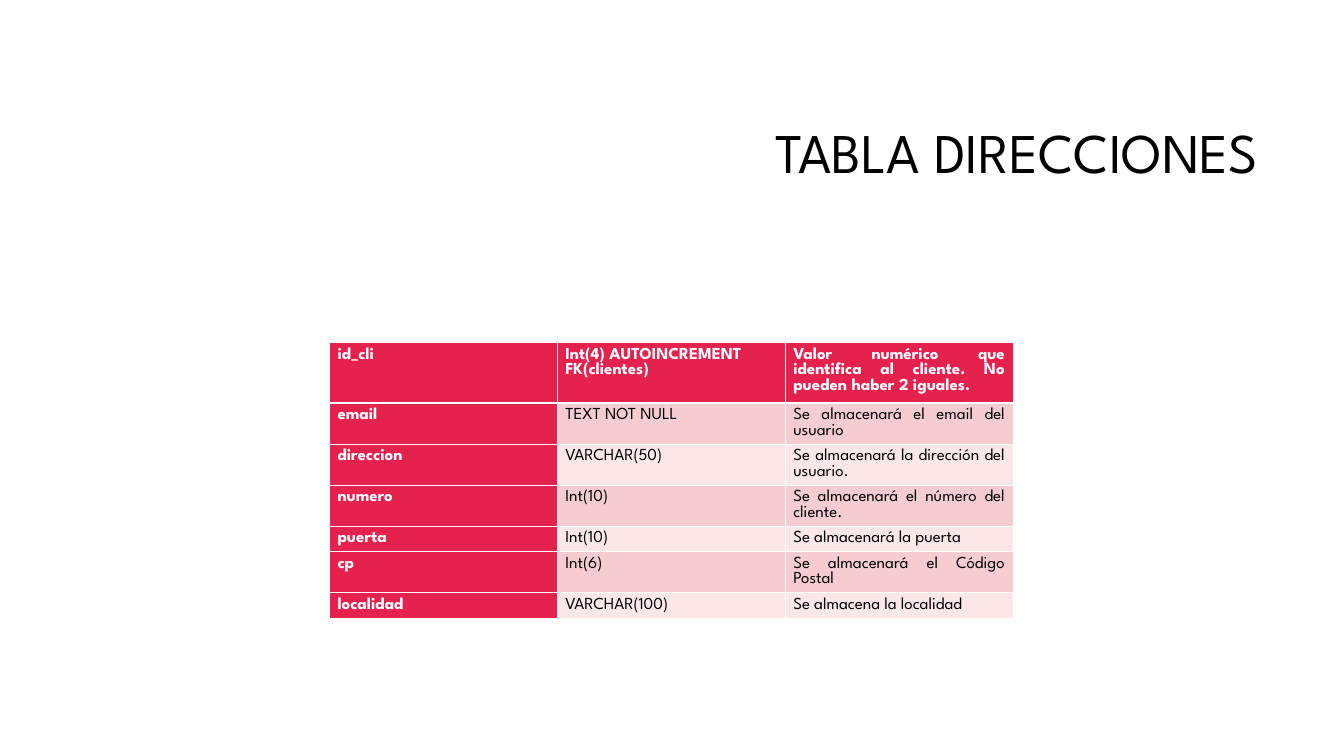
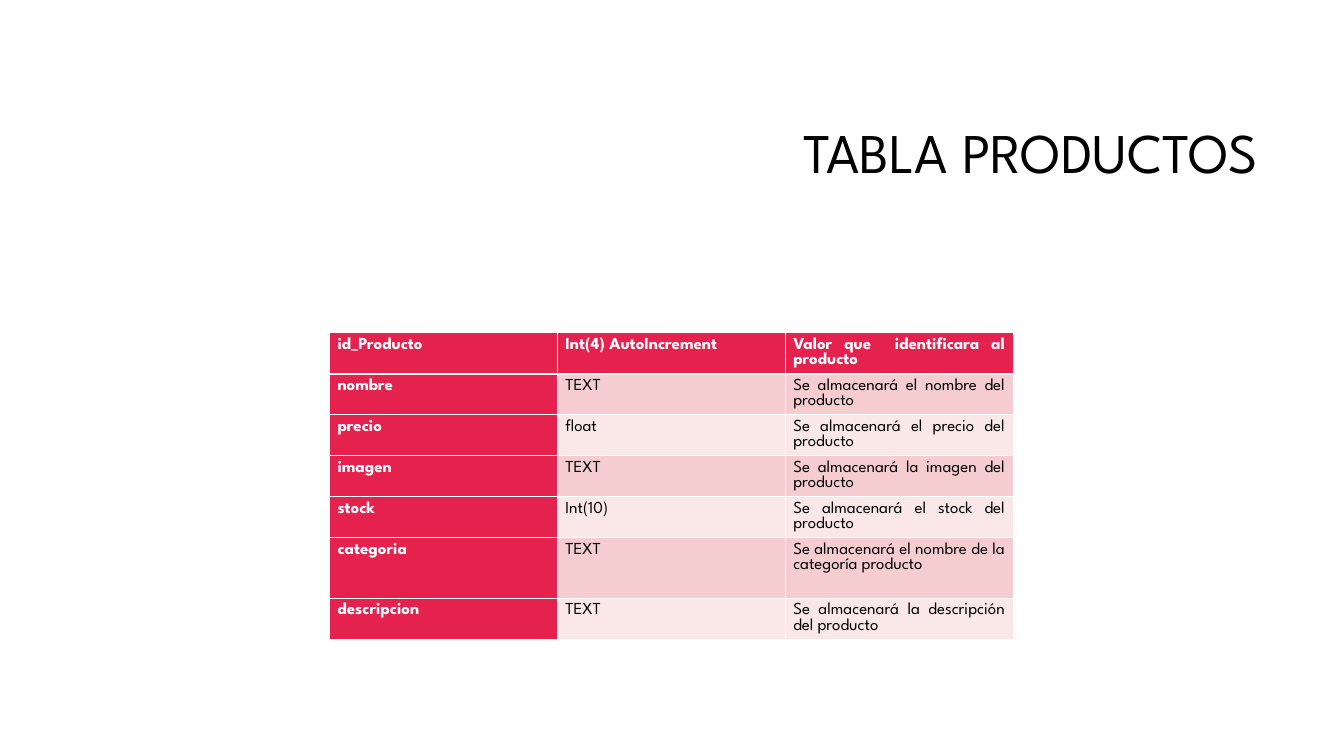
from dataclasses import dataclass

from lxml import etree
from pptx import Presentation
from pptx.dml.color import RGBColor
from pptx.enum.text import MSO_ANCHOR, MSO_AUTO_SIZE, PP_ALIGN
from pptx.oxml.ns import qn
from pptx.util import Inches, Pt

RIGHT, JUSTIFY = PP_ALIGN.RIGHT, PP_ALIGN.JUSTIFY
MIDDLE, NO_FIT = MSO_ANCHOR.MIDDLE, MSO_AUTO_SIZE.NONE
TITLE_ONLY = 5


@dataclass(frozen=True)
class Theme:
    font: str = "League Spartan"
    ink: str = "000000"
    white: str = "FFFFFF"
    accent: str = "E5224E"
    bands: tuple = ("FAE8E9", "F5CCD0")
    title_size: float = 40
    cell_size: float = 12
    thin: float = 0.45
    thick: float = 1.47


def grid(n):
    """Length of n grid units; one unit is the height of a table text line."""
    return Inches(0.2 * n)


class Deck:
    """Holds the style and the current slide."""

    def __init__(self, theme):
        self.theme = theme
        self.prs = Presentation()
        self.prs.slide_width, self.prs.slide_height = grid(66.7), grid(37.5)
        self.s = None

    def add_slide(self, title):
        self.s = self.prs.slides.add_slide(self.prs.slide_layouts[TITLE_ONLY])
        sp = self.s.shapes.title
        sp.left, sp.top = grid(15.85), grid(4.2)
        sp.width, sp.height = grid(47.1), grid(7.05)
        tf = sp.text_frame
        tf.word_wrap, tf.auto_size, tf.vertical_anchor = True, NO_FIT, MIDDLE
        p = tf.paragraphs[0]
        p.line_spacing = 0.9
        self.add_text(p, title, RIGHT, self.theme.title_size, self.theme.ink)

    def add_text(self, p, text, align, size, color, bold=False):
        p.alignment = align
        r = p.add_run()
        r.text = text
        r.font.name, r.font.size, r.font.bold = self.theme.font, Pt(size), bold
        r.font.color.rgb = RGBColor.from_string(color)

    def add_table(self, top, rows):
        """Each row is its height in lines followed by its cell texts."""
        columns, column_width = 3, 11.31
        height = sum(lines for lines, *_ in rows)
        table = self.s.shapes.add_table(
            len(rows), columns, grid(16.35), grid(top),
            grid(columns * column_width), grid(height)).table
        table.horz_banding = False
        for column in table.columns:
            column.width = grid(column_width)
        for i, (lines, *texts) in enumerate(rows):
            table.rows[i].height = grid(lines)
            for j, text in enumerate(texts):
                self.fill_cell(table.cell(i, j), text, i, j)

    def fill_cell(self, cell, text, i, j):
        t = self.theme
        heading = i == 0 or j == 0
        cell.margin_left = cell.margin_right = Inches(0.08)
        cell.margin_top = cell.margin_bottom = Inches(0.05)

        # The rule under the first row is thicker
        self.add_border(cell, "lnL", t.thin)
        self.add_border(cell, "lnR", t.thin)
        self.add_border(cell, "lnT", t.thick if i == 1 else t.thin)
        self.add_border(cell, "lnB", t.thick if i == 0 else t.thin)

        cell.fill.solid()
        cell.fill.fore_color.rgb = RGBColor.from_string(
            t.accent if heading else t.bands[i % 2])
        tf = cell.text_frame
        for n, line in enumerate(text.split("\n")):
            p = tf.add_paragraph() if n else tf.paragraphs[0]
            self.add_text(p, line, JUSTIFY, t.cell_size,
                          t.white if heading else t.ink, heading)

    def add_border(self, cell, side, width):
        tc_pr = cell._tc.get_or_add_tcPr()
        ln = etree.SubElement(tc_pr, qn(f"a:{side}"), w=str(int(Pt(width))))
        fill = etree.SubElement(ln, qn("a:solidFill"))
        etree.SubElement(fill, qn("a:srgbClr"), val=self.theme.white)


def main():
    deck = Deck(Theme())

    # Addresses table
    deck.add_slide("TABLA DIRECCIONES")
    deck.add_table(17, [
        (3, "id_cli", "Int(4) AUTOINCREMENT\nFK(clientes)",
         "Valor numérico que identifica al cliente. No pueden haber 2 iguales."),
        (2, "email", "TEXT NOT NULL", "Se almacenará el email del usuario"),
        (2, "direccion", "VARCHAR(50)", "Se almacenará la dirección del usuario."),
        (2, "numero", "Int(10)", "Se almacenará el número del cliente."),
        (1, "puerta", "Int(10)", "Se almacenará la puerta"),
        (2, "cp", "Int(6)", "Se almacenará el Código Postal"),
        (1, "localidad", "VARCHAR(100)", "Se almacena la localidad"),
    ])

    # Products table
    deck.add_slide("TABLA PRODUCTOS")
    deck.add_table(16.5, [
        (2, "id_Producto", "Int(4) AutoIncrement",
         "Valor que  identificara al producto"),
        (2, "nombre", "TEXT", "Se almacenará el nombre del producto"),
        (2, "precio", "float", "Se almacenará el precio del producto"),
        (2, "imagen", "TEXT", "Se almacenará la imagen del producto"),
        (2, "stock", "Int(10)", "Se almacenará el stock del producto"),
        (3, "categoria", "TEXT",
         "Se almacenará el nombre de la categoría producto"),
        (2, "descripcion", "TEXT", "Se almacenará la descripción del producto"),
    ])

    deck.prs.save("out.pptx")


if __name__ == "__main__":
    main()
